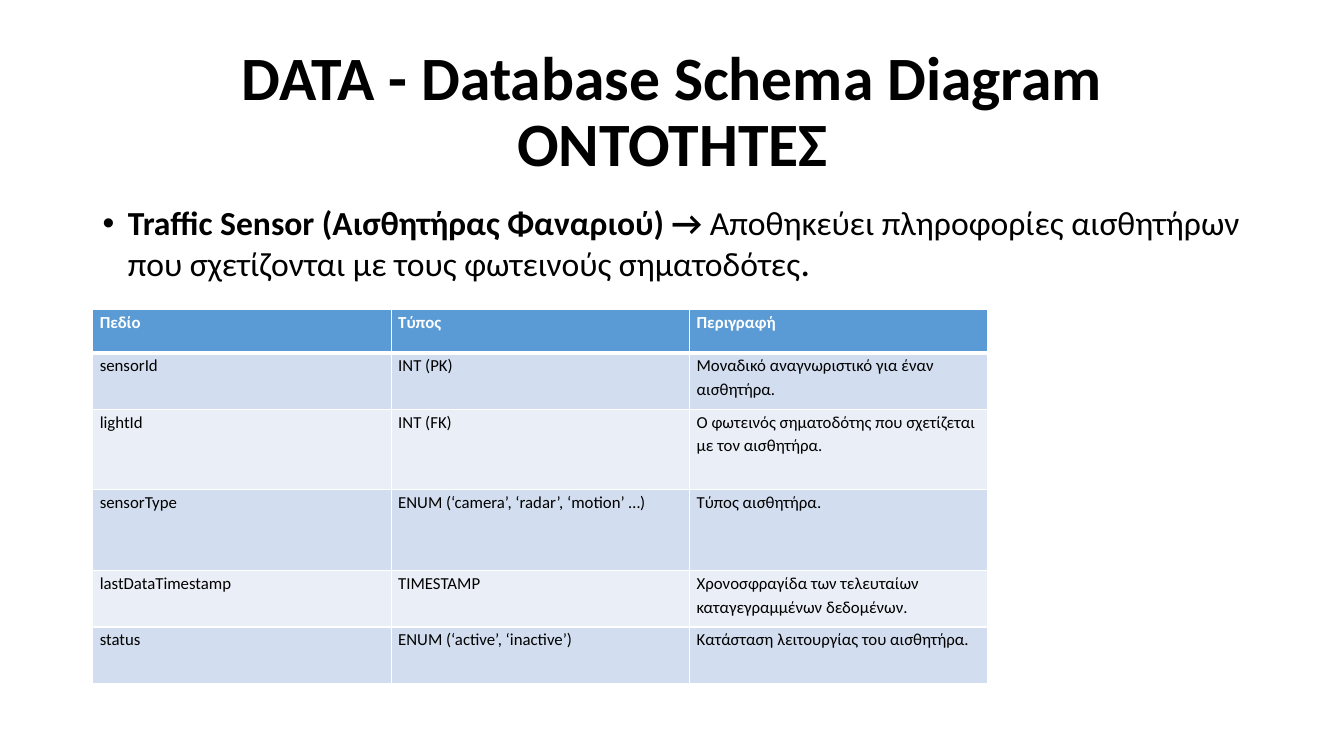
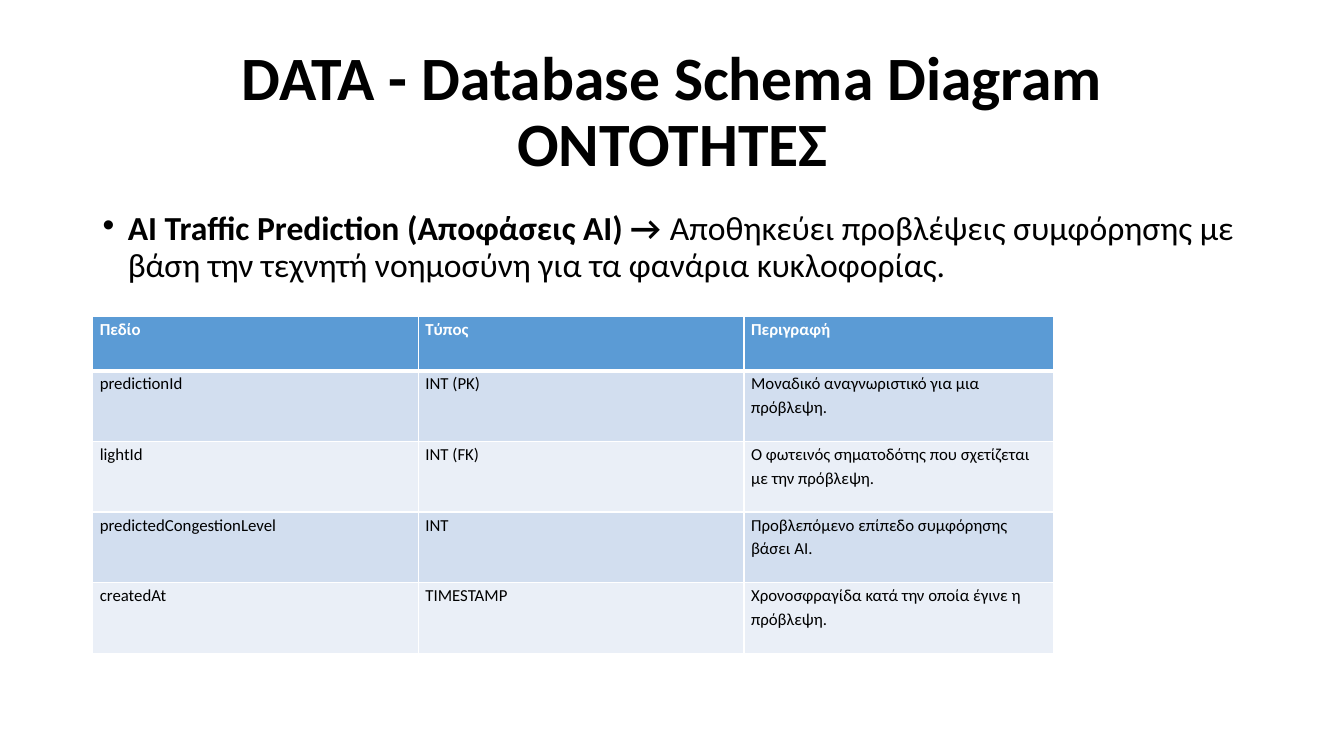
from lxml.etree import SubElement
from pptx import Presentation
from pptx.dml.color import RGBColor
from pptx.enum.text import MSO_ANCHOR, PP_ALIGN
from pptx.oxml.ns import qn
from pptx.util import Emu, Pt

PX = 9144  # 100 px to the inch
FONT = "Calibri"
BLACK, WHITE = "000000", "FFFFFF"
HEADER_FILL, BAND_FILLS = "5B9BD5", ("D2DEEF", "EAEFF7")

TITLE_BOX = (92, 40, 1150, 145)
SUMMARY_BOX = (92, 200, 1150, 476)
TITLE_LINES = ("DATA - Database Schema Diagram", "ΟΝΤΟΤΗΤΕΣ")
HEADINGS = ("Πεδίο", "Τύπος", "Περιγραφή")

TITLE_FORMAT = {"size": Pt(44), "bold": True}
STRONG = {"size": Pt(24), "bold": True}
PLAIN = {"size": Pt(24), "bold": False}
LARGE_PLAIN = {"size": Pt(28), "bold": False}
LARGE_STRONG = {"size": Pt(28), "bold": True}
CELL_MARGINS = {"margin_left": 7, "margin_right": 7, "margin_top": 0, "margin_bottom": 0}

ENTITIES = [
    {
        "summary": [
            ("Traffic Sensor (Αισθητήρας Φαναριού) → ", STRONG),
            ("Αποθηκεύει πληροφορίες αισθητήρων που σχετίζονται με τους "
             "φωτεινούς σηματοδότες", PLAIN),
            (".", LARGE_PLAIN),
        ],
        "top": 307,
        "widths": (296, 296, 296),
        "heights": (43, 56, 80, 80, 56, 56),
        "fields": [
            ("sensorId", "INT (PK)", "Μοναδικό αναγνωριστικό για έναν αισθητήρα."),
            ("lightId", "INT (FK)",
             "Ο φωτεινός σηματοδότης που σχετίζεται με τον αισθητήρα."),
            ("sensorType", "ENUM (‘camera’, ‘radar’, ‘motion’ …)", "Τύπος αισθητήρα."),
            ("lastDataTimestamp", "TIMESTAMP",
             "Χρονοσφραγίδα των τελευταίων καταγεγραμμένων δεδομένων."),
            ("status", "ENUM (‘active’, ‘inactive’)",
             "Κατάσταση λειτουργίας του αισθητήρα."),
        ],
    },
    {
        "summary": [
            ("AI Traffic Prediction (Αποφάσεις AI) →", STRONG),
            (" ", LARGE_STRONG),
            ("Αποθηκεύει προβλέψεις συμφόρησης με βάση την τεχνητή νοημοσύνη "
             "για τα φανάρια κυκλοφορίας.", PLAIN),
        ],
        "top": 314,
        "widths": (323, 323, 307),
        "heights": (54, 70, 70, 70, 70),
        "fields": [
            ("predictionId", "INT (PK)", "Μοναδικό αναγνωριστικό για μια πρόβλεψη."),
            ("lightId", "INT (FK)",
             "Ο φωτεινός σηματοδότης που σχετίζεται με την πρόβλεψη."),
            ("predictedCongestionLevel", "INT",
             "Προβλεπόμενο επίπεδο συμφόρησης βάσει AI."),
            ("createdAt", "TIMESTAMP",
             "Χρονοσφραγίδα κατά την οποία έγινε η πρόβλεψη."),
        ],
    },
]


def px(length):
    return Emu(length * PX)


def color(hex_text):
    return RGBColor.from_string(hex_text)


def add_run(paragraph, text, formats, ink=BLACK):
    run = paragraph.add_run()
    run.text = text
    for name, value in {"name": FONT, **formats}.items():
        setattr(run.font, name, value)
    run.font.color.rgb = color(ink)


def add_text_frame(slide, box):
    frame = slide.shapes.add_textbox(*map(px, box)).text_frame
    frame.word_wrap = True
    frame.paragraphs[0].line_spacing = 0.9
    return frame


def add_title(slide, box):
    frame = add_text_frame(slide, box)
    frame.vertical_anchor = MSO_ANCHOR.MIDDLE
    heading = frame.paragraphs[0]
    heading.alignment = PP_ALIGN.CENTER
    first, second = TITLE_LINES
    add_run(heading, first, TITLE_FORMAT)
    heading.add_line_break()
    add_run(heading, second, TITLE_FORMAT)


def add_summary(slide, box, parts):
    bullet = add_text_frame(slide, box).paragraphs[0]
    # Hanging bullet
    properties = bullet._p.get_or_add_pPr()
    properties.set("marL", str(px(25)))
    properties.set("indent", str(px(-25)))
    SubElement(properties, qn("a:buFont"), typeface="Arial")
    SubElement(properties, qn("a:buChar"), char="•")
    for text, formats in parts:
        add_run(bullet, text, formats)


def add_border(cell, side, points):
    line = SubElement(cell._tc.get_or_add_tcPr(), qn(f"a:ln{side}"), w=str(Pt(points)))
    SubElement(SubElement(line, qn("a:solidFill")), qn("a:srgbClr"), val=WHITE)


def fill_cell(cell, text, row_index):
    is_header = row_index == 0
    for name, value in CELL_MARGINS.items():
        setattr(cell, name, px(value))
    # Thick rule between header and body
    thick_side = {0: "B", 1: "T"}.get(row_index)
    for side in "LRTB":
        add_border(cell, side, 3 if side == thick_side else 1)
    cell.fill.solid()
    cell.fill.fore_color.rgb = color(
        HEADER_FILL if is_header else BAND_FILLS[(row_index - 1) % 2])
    paragraph = cell.text_frame.paragraphs[0]
    paragraph.line_spacing = 1.15
    add_run(paragraph, text, {"size": Pt(12), "bold": is_header},
            WHITE if is_header else BLACK)


def add_field_table(slide, left, top, widths, heights, fields):
    box = (left, top, sum(widths), sum(heights))
    table = slide.shapes.add_table(len(heights), len(widths), *map(px, box)).table
    table.horz_banding = False
    for column, width in zip(table.columns, widths):
        column.width = px(width)
    for row_index, texts in enumerate([HEADINGS, *fields]):
        row = table.rows[row_index]
        row.height = px(heights[row_index])
        for cell, text in zip(row.cells, texts):
            fill_cell(cell, text, row_index)


def add_entity_slide(deck, entity):
    slide = deck.slides.add_slide(deck.slide_layouts[6])
    add_title(slide, TITLE_BOX)
    add_summary(slide, SUMMARY_BOX, entity["summary"])
    add_field_table(slide, SUMMARY_BOX[0], entity["top"], entity["widths"],
                    entity["heights"], entity["fields"])


def main():
    deck = Presentation()
    deck.slide_width, deck.slide_height = px(1333), px(750)
    for entity in ENTITIES:
        add_entity_slide(deck, entity)
    deck.save("out.pptx")


if __name__ == "__main__":
    main()
